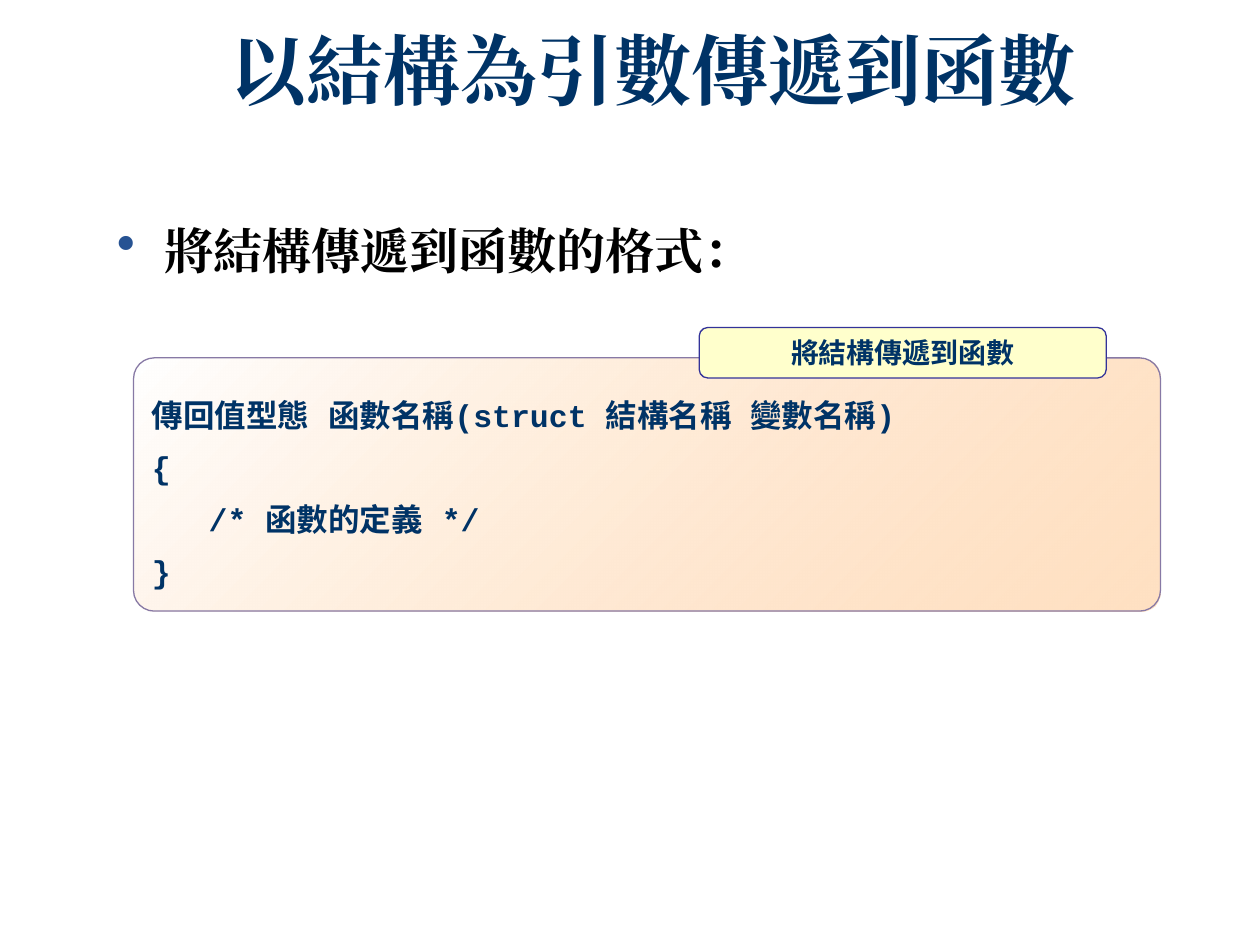
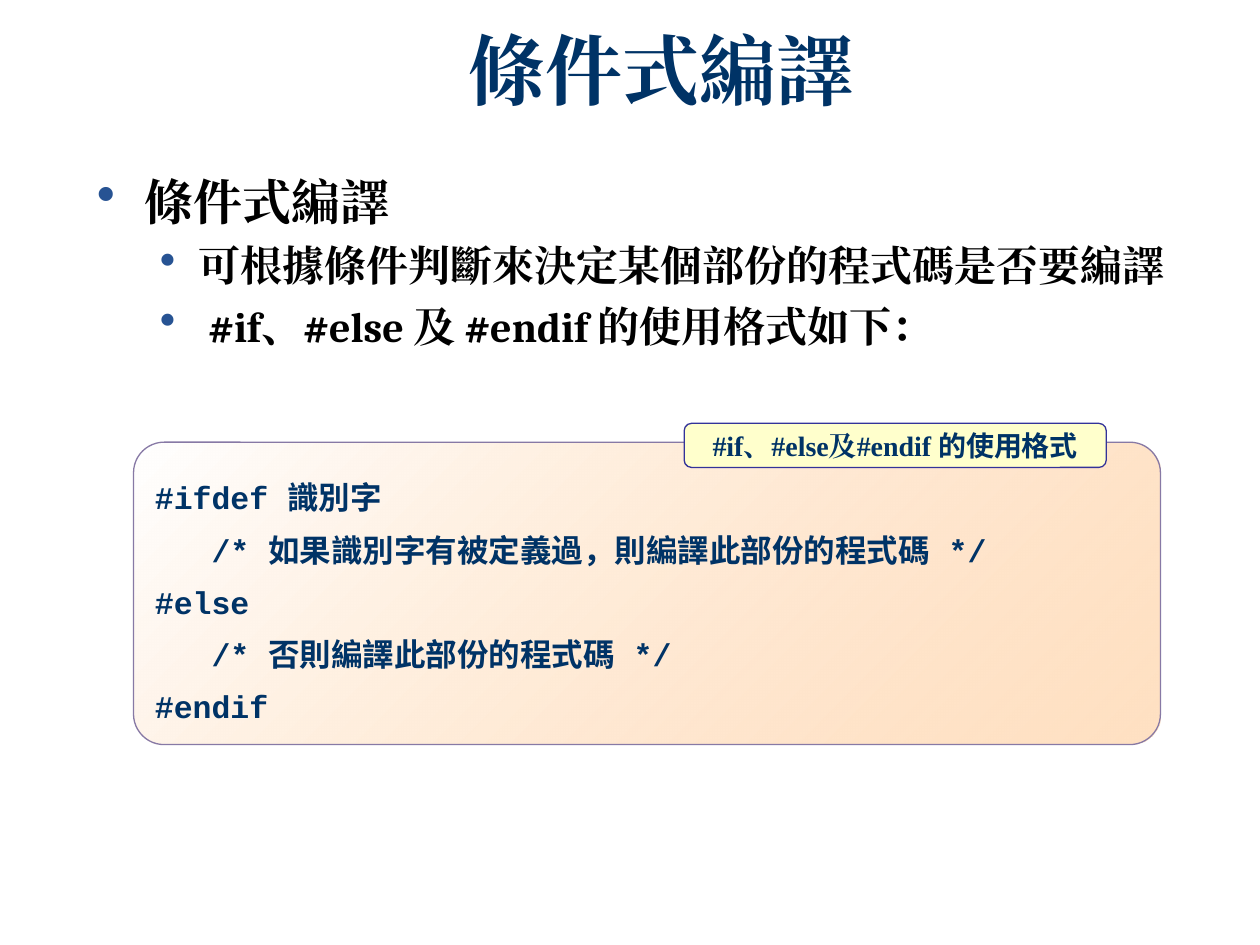
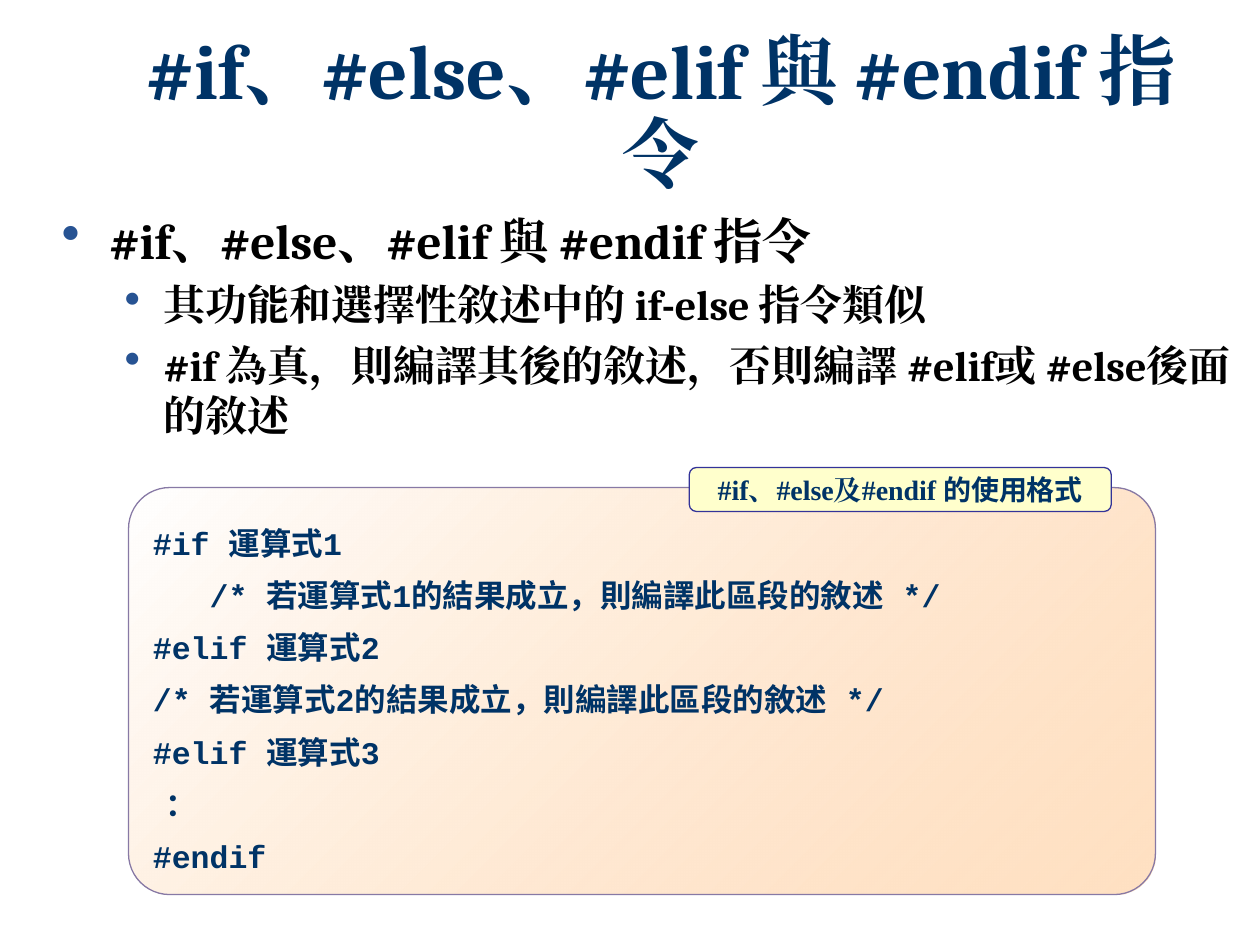
from pptx import Presentation
from pptx.dml.color import RGBColor
from pptx.enum.shapes import MSO_SHAPE
from pptx.enum.text import MSO_ANCHOR, PP_ALIGN
from pptx.oxml.ns import qn
from pptx.util import Inches, Pt
from lxml import etree

ROUND = MSO_SHAPE.ROUNDED_RECTANGLE
TOP, MIDDLE = MSO_ANCHOR.TOP, MSO_ANCHOR.MIDDLE
LEFT, CENTER = PP_ALIGN.LEFT, PP_ALIGN.CENTER

COLORS = {
    "navy": "003366", "black": "000000", "white": "FFFFFF", "dot": "275393",
    "peach": "FFCC99", "edge": "8779A5", "tag": "FFFFCC", "rim": "333399",
}
SERIF, MONO = "Cambria", "Courier New"
TIMES, SANS = "Times New Roman", "Noto Sans CJK JP"
TAB = 0.45  # code indent
LEVELS = [(28, 0.38, 0.38, 0), (24, 0.81, 0.31, 5.6)]  # size, left, hang, gap
USAGE = [("#if、#else及#endif ", TIMES), ("的使用格式", SANS)]


def rgb(name):
    return RGBColor.from_string(COLORS[name])


def style(font, size, color):
    font.size, font.bold = Pt(size), True
    font.color.rgb = rgb(color)


def add_run(para, text, face):
    """Add text with one face for Latin and East Asian letters."""
    run = para.add_run()
    run.text = text
    run.font.name = face
    latin = run.font._element.find(qn("a:latin"))
    wide = etree.Element(qn("a:ea"), typeface=face)
    latin.addnext(wide)


def next_para(frame, index):
    return frame.add_paragraph() if index else frame.paragraphs[0]


def add_text(slide, box):
    frame = slide.shapes.add_textbox(*map(Inches, box)).text_frame
    frame.word_wrap = True
    frame.vertical_anchor = TOP
    return frame


def add_title(slide, text):
    para = add_text(slide, (0.83, 0.21, 8.84, 1.57)).paragraphs[0]
    para.alignment, para.line_spacing = CENTER, 0.9
    style(para.font, 44, "navy")
    add_run(para, text, SERIF)


def add_bullet(para, left, hang):
    props = para._p.get_or_add_pPr()
    props.set("marL", str(Inches(left)))
    props.set("indent", str(-Inches(hang)))
    marks = [etree.Element(qn("a:buClr")),
             etree.Element(qn("a:buSzPct"), val="110000"),
             etree.Element(qn("a:buChar"), char="•")]
    etree.SubElement(marks[0], qn("a:srgbClr"), val=COLORS["dot"])
    for mark in marks:
        props.append(mark)


def add_list(slide, box, items):
    """Bulleted list: a heading, then points one level down."""
    frame = add_text(slide, box)
    for i, text in enumerate(items):
        size, left, hang, gap = LEVELS[min(i, 1)]
        para = next_para(frame, i)
        para.space_before = Pt(gap)
        add_bullet(para, left, hang)
        style(para.font, size, "black")
        add_run(para, text, SERIF)


def add_panel(slide, box, round_by, edge):
    shape = slide.shapes.add_shape(ROUND, *map(Inches, box))
    shape.adjustments[0] = round_by
    shape.shadow.inherit = False
    shape.line.color.rgb = rgb(edge)
    shape.line.width = Pt(0.75)
    shape.text_frame.vertical_anchor = MIDDLE
    return shape


def add_code(slide, box, round_by, lines):
    """Code panel; each line is an indent and its text."""
    shape = add_panel(slide, box, round_by, "edge")
    # Fade from white to translucent peach
    fill = shape.fill
    fill.gradient()
    fill.gradient_angle = 315
    for stop, name, place in zip(fill.gradient_stops, ("white", "peach"), (0, 1)):
        stop.color.rgb = rgb(name)
        stop.position = place
    grad = shape._element.spPr.find(qn("a:gradFill"))
    last = list(grad.iter(qn("a:srgbClr")))[-1]
    etree.SubElement(last, qn("a:alpha"), val="59000")
    # Code lines
    frame = shape.text_frame
    frame.word_wrap = True
    frame.margin_top, frame.margin_bottom = Inches(0.18), Inches(0.05)
    for i, (indent, text) in enumerate(lines):
        para = next_para(frame, i)
        para.alignment = LEFT
        para.space_before = Pt(8.2 if i else 0)
        para._p.get_or_add_pPr().set("marL", str(Inches(indent)))
        style(para.font, 18, "navy")
        add_run(para, text, MONO)


def add_tag(slide, box, runs):
    shape = add_panel(slide, box, 0.167, "rim")
    shape.fill.solid()
    shape.fill.fore_color.rgb = rgb("tag")
    shape.text_frame.word_wrap = False
    para = shape.text_frame.paragraphs[0]
    para.alignment = CENTER
    style(para.font, 16, "navy")
    for text, face in runs:
        add_run(para, text, face)


def main():
    deck = Presentation()
    deck.slide_width, deck.slide_height = Inches(10), Inches(7.5)

    def new_slide(title):
        slide = deck.slides.add_slide(deck.slide_layouts[6])
        add_title(slide, title)
        return slide

    # Passing a structure
    slide = new_slide("以結構為引數傳遞到函數 ")
    add_list(slide, (0.83, 1.7, 8.83, 0.49), ["將結構傳遞到函數的格式："])
    add_code(slide, (1.06, 2.84, 8.15, 2.01), 0.082, [
        (0, "傳回值型態 函數名稱(struct 結構名稱 變數名稱)"),
        (0, "{"),
        (TAB, "/* 函數的定義 */"),
        (0, "}"),
    ])
    add_tag(slide, (5.55, 2.6, 3.23, 0.4), [("將結構傳遞到函數", SANS)])

    # Conditional compilation
    slide = new_slide("條件式編譯")
    add_list(slide, (0.67, 1.31, 8.83, 2.01), [
        "條件式編譯",
        "可根據條件判斷來決定某個部份的程式碼是否要編譯",
        " #if、#else 及 #endif 的使用格式如下：",
    ])
    add_code(slide, (1.06, 3.51, 8.15, 2.4), 0.101, [
        (0, "#ifdef 識別字"),
        (TAB, "/* 如果識別字有被定義過，則編譯此部份的程式碼 */"),
        (0, "#else"),
        (TAB, "/* 否則編譯此部份的程式碼 */"),
        (0, "#endif"),
    ])
    add_tag(slide, (5.43, 3.36, 3.35, 0.35), USAGE)

    # Chained conditions
    heading = "#if、#else、#elif 與 #endif 指令"
    slide = new_slide(heading)
    add_list(slide, (0.39, 1.62, 9.61, 2.33), [
        heading,
        "其功能和選擇性敘述中的 if-else 指令類似",
        "#if 為真，則編譯其後的敘述，否則編譯 #elif或 #else後面的敘述",
    ])
    add_code(slide, (1.02, 3.87, 8.15, 3.23), 0.101, [
        (0, "#if 運算式1"),
        (TAB, "/* 若運算式1的結果成立，則編譯此區段的敘述 */"),
        (0, "#elif 運算式2"),
        (0, "/* 若運算式2的結果成立，則編譯此區段的敘述 */"),
        (0, "#elif 運算式3"),
        (0.1, "："),
        (0, "#endif"),
    ])
    add_tag(slide, (5.47, 3.71, 3.35, 0.35), USAGE)

    deck.save("out.pptx")


if __name__ == "__main__":
    main()
